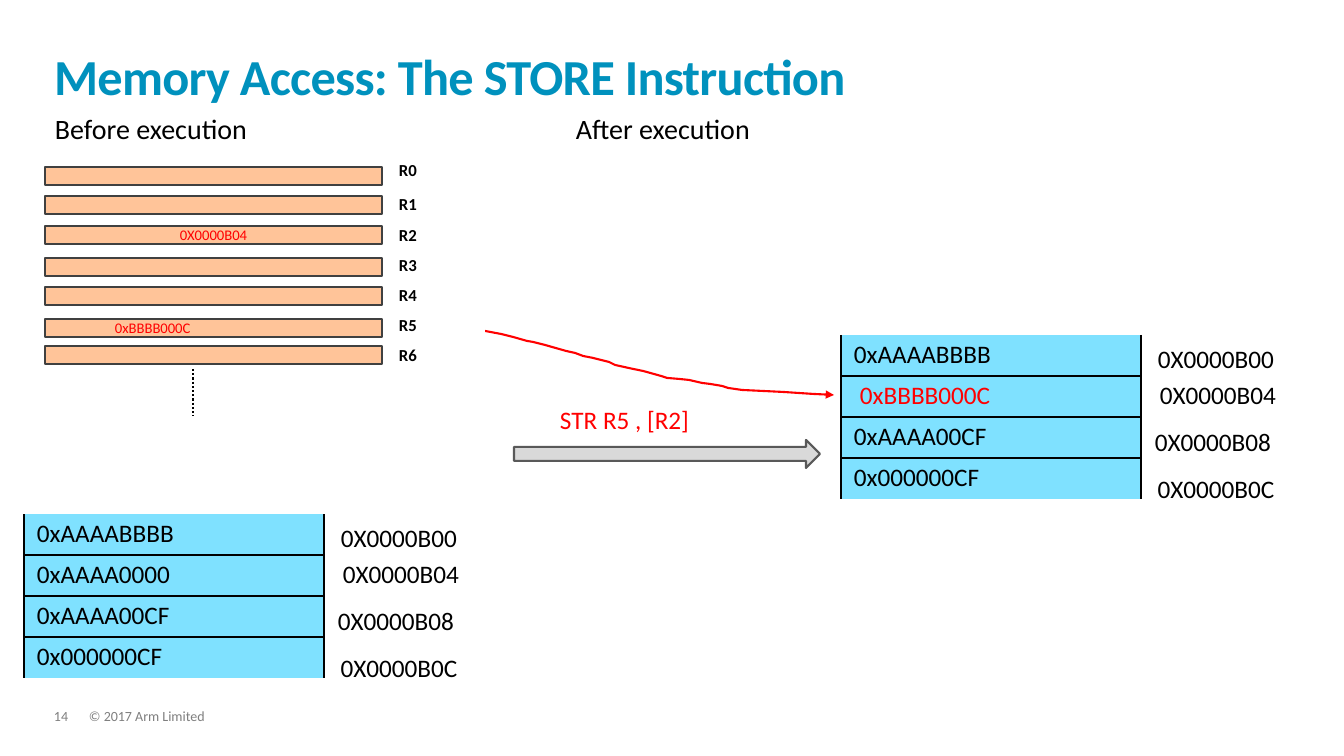
from pptx import Presentation
from pptx.dml.color import RGBColor
from pptx.enum.dml import MSO_LINE
from pptx.enum.shapes import MSO_CONNECTOR, MSO_SHAPE
from pptx.enum.text import MSO_ANCHOR, MSO_AUTO_SIZE, PP_ALIGN
from pptx.oxml.ns import qn
from pptx.util import Pt
from lxml import etree

PX = 914400 / 100.8
FONT = "Calibri"
COLORS = {
    "title": "0091BD", "text": "000000", "value": "FF0000", "footer": "7F7F7F",
    "memory": "7FE1FF", "register": "FFC499", "register_line": "404040",
    "arrow": "D9D9D9", "arrow_line": "595959", "white": "FFFFFF",
}
LEFT, CENTER = PP_ALIGN.LEFT, PP_ALIGN.CENTER
TOP, MIDDLE, BOTTOM = MSO_ANCHOR.TOP, MSO_ANCHOR.MIDDLE, MSO_ANCHOR.BOTTOM
RECTANGLE, RIGHT_ARROW = MSO_SHAPE.RECTANGLE, MSO_SHAPE.RIGHT_ARROW
STRAIGHT, DOTTED = MSO_CONNECTOR.STRAIGHT, MSO_LINE.ROUND_DOT
NO_FIT = MSO_AUTO_SIZE.NONE

ROW_HEIGHT = 41
# Address, centre x and top, relative to the memory table
ADDRESSES = [("0X0000B00", 375, 3), ("0X0000B04", 377, 39),
             ("0X0000B08", 372, 86), ("0X0000B0C", 375, 133)]
REGISTER_TOPS = [0, 29, 59, 91, 120, 152, 179]
STORE_PATH = [
    (396, 328), (467, 329), (485, 331), (501, 334), (513, 337), (527, 341),
    (533, 342), (545, 345), (566, 351), (575, 353), (583, 356), (593, 358),
    (609, 362), (615, 365), (633, 369), (643, 371), (661, 376), (667, 378),
    (679, 379), (689, 380), (702, 383), (710, 384), (722, 386), (728, 388),
    (742, 390), (783, 392), (813, 394), (834, 395),
]


def px(*lengths):
    return [round(length * PX) for length in lengths]


def color(name):
    return RGBColor.from_string(COLORS[name])


def write(frame, text, size, tint="text", align=LEFT, bold=False, spacing=None):
    para = frame.paragraphs[0]
    para.text = text
    para.alignment = align
    para.line_spacing = spacing
    font = para.font
    font.name, font.size, font.bold = FONT, Pt(size), bold
    font.color.rgb = color(tint)
    return para


def set_margins(target, left, top, right, bottom):
    (target.margin_left, target.margin_top,
     target.margin_right, target.margin_bottom) = px(left, top, right, bottom)


def add_text(page, box, text, size, margins=(10, 5, 10, 5), **style):
    frame = page.shapes.add_textbox(*px(*box)).text_frame
    frame.word_wrap = True
    set_margins(frame, *margins)
    write(frame, text, size, **style)


def add_block(page, kind, box, fill, line):
    block = page.shapes.add_shape(kind, *px(*box))
    block.shadow.inherit = False
    block.fill.solid()
    block.fill.fore_color.rgb = color(fill)
    block.line.color.rgb = color(line)
    block.line.width = Pt(1.5)
    return block


def add_column(page, box, row_heights):
    """Add a one-column table and return its cells."""
    table = page.shapes.add_table(len(row_heights), 1, *px(*box)).table
    table.first_row = table.horz_banding = False
    for row, height in zip(table.rows, row_heights):
        row.height = px(height)[0]
    return [row.cells[0] for row in table.rows]


def set_borders(cell, sides):
    properties = cell._tc.get_or_add_tcPr()
    for side in "LRTB":
        line = etree.SubElement(properties, qn("a:ln" + side), w="12700")
        if side in sides:
            fill = etree.SubElement(line, qn("a:solidFill"))
            etree.SubElement(fill, qn("a:srgbClr"), val=COLORS["text"])
        else:
            etree.SubElement(line, qn("a:noFill"))


def fill_cell(cell, fill, margin_left=13):
    cell.fill.solid()
    cell.fill.fore_color.rgb = color(fill)
    set_margins(cell, margin_left, 5, 13, 5)


def add_title(page, box):
    title = page.shapes.title
    title.left, title.top, title.width, title.height = px(*box)
    frame = title.text_frame
    frame.auto_size = NO_FIT
    frame.vertical_anchor = BOTTOM
    set_margins(frame, 0, 0, 0, 0)
    para = write(frame, "Memory Access: The STORE Instruction", 36, "title",
                 bold=True, spacing=0.85)
    para.runs[0].font._element.set("spc", "-50")


def add_headings(page, box):
    left, top, width, height = box
    for offset, text in ((0, "Before execution"), (521, "After execution")):
        add_text(page, (left + offset, top, width, height), text, 20)


def add_registers(page, box, values):
    """Bars with their values, names to the right and dots below."""
    left, top, width, height = box
    for index, offset in enumerate(REGISTER_TOPS):
        bar = add_block(page, RECTANGLE, (left, top + offset, width, height),
                        "register", "register_line")
        if index in values:
            text, align, indent = values[index]
            frame = bar.text_frame
            set_margins(frame, indent, 0, 0, 0)
            frame.vertical_anchor = MIDDLE
            write(frame, text, 10.5, "value", align)

    row_heights = [34] + [30] * (len(REGISTER_TOPS) - 1)
    names_box = (left + width + 4, top - 11, 98, sum(row_heights))
    for index, cell in enumerate(add_column(page, names_box, row_heights)):
        fill_cell(cell, "white")
        write(cell.text_frame, f"R{index}", 12, bold=True)

    dots_x, dots_top = left + 148, top + 202
    dots = page.shapes.add_connector(
        STRAIGHT, *px(dots_x, dots_top, dots_x, dots_top + 47))
    dots.line.color.rgb = color("text")
    dots.line.width = Pt(1.5)
    dots.line.dash_style = DOTTED
    etree.SubElement(dots._element.spPr, qn("a:effectLst"))


def add_memory(page, box, values, stored=None):
    """Memory words with addresses; the stored word is highlighted."""
    left, top, width, height = box
    cells = add_column(page, box, [height // len(values)] * len(values))
    for index, (cell, value) in enumerate(zip(cells, values)):
        top_side = "T" if index else ""
        bottom_side = "B" if index < len(values) - 1 else ""
        set_borders(cell, "LR" + top_side + bottom_side)
        is_stored = index == stored
        fill_cell(cell, "memory", 19 if is_stored else 13)
        write(cell.text_frame, value, 18, "value" if is_stored else "text")
    for address, center, offset in ADDRESSES:
        add_text(page, (left + center - 75, top + offset, 150, 40), address, 18,
                 align=CENTER)


def add_store_path(page):
    builder = page.shapes.build_freeform(*STORE_PATH[0], scale=PX)
    builder.add_line_segments(STORE_PATH[1:], close=False)
    path = builder.convert_to_shape()
    path.shadow.inherit = False
    path.fill.background()
    path.line.color.rgb = color("value")
    path.line.width = Pt(1.5)
    line = path._element.spPr.find(qn("a:ln"))
    etree.SubElement(line, qn("a:tailEnd"), type="triangle")


def add_instruction(page, box):
    left, top, width, height = box
    add_text(page, (left + 36, top - 41, 233, 40), "STR R5 , [R2]", 18, tint="value")
    add_block(page, RIGHT_ARROW, box, "arrow", "arrow_line")


def add_footer(page, box):
    left, top, width, height = box
    for offset, text in ((0, "14"), (35, "© 2017 Arm Limited")):
        add_text(page, (left + offset, top, width, height), text, 10,
                 margins=(0, 0, 0, 0), tint="footer", spacing=0.9)


def main():
    deck = Presentation()
    deck.slide_width, deck.slide_height = px(1344, 756)
    page = deck.slides.add_slide(deck.slide_layouts[5])
    add_title(page, (54, 32, 1233, 74))
    add_headings(page, (45, 106, 300, 44))
    add_store_path(page)
    add_registers(page, (45, 167, 337, 18), {
        2: ("0X0000B04", CENTER, 0),
        5: ("0xBBBB000C", LEFT, 70),
    })
    add_instruction(page, (514, 440, 306, 28))
    before = ["0xAAAABBBB", "0xAAAA0000", "0xAAAA00CF", "0x000000CF"]
    after = [before[0], "0xBBBB000C", *before[2:]]
    memory_height = ROW_HEIGHT * len(before)
    add_memory(page, (24, 514, 300, memory_height), before)
    add_memory(page, (841, 335, 300, memory_height), after, stored=1)
    add_footer(page, (54, 709, 300, 15))
    deck.save("out.pptx")


if __name__ == "__main__":
    main()
